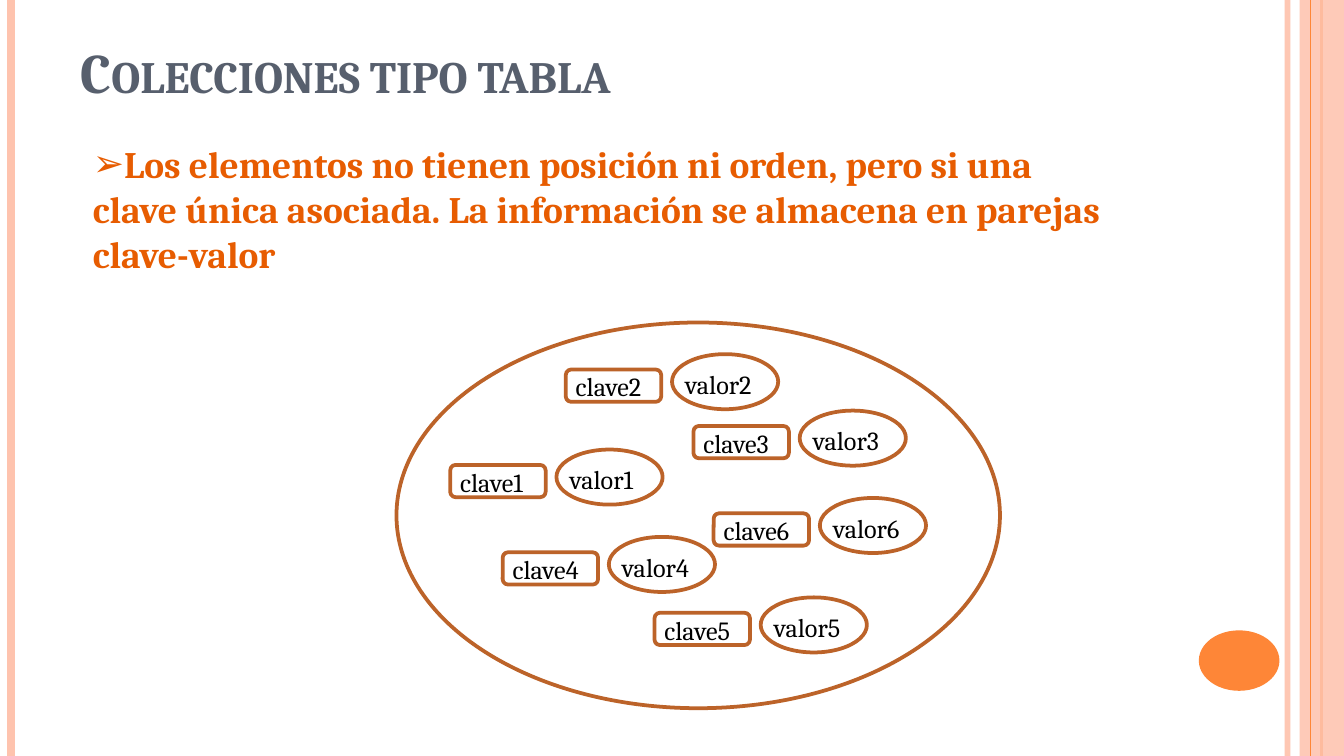
from dataclasses import dataclass

from lxml import etree
from pptx import Presentation
from pptx import util as u
from pptx.dml.color import RGBColor
from pptx.enum import shapes, text
from pptx.oxml.ns import qn

COLUMNS, ROWS = 100, 56.25
CELL = u.Inches(0.1)


@dataclass(frozen=True)
class Theme:
    """Colours, font and type sizes of the slide."""
    font: str = "Cambria"
    heading: str = "575F6D"
    body: str = "E75C01"
    label: str = "000000"
    outline: str = "BC6329"
    accent: str = "FE8637"
    pale: str = "FEC3AE"
    title_size: int = 30
    body_size: int = 20
    label_size: int = 14
    outline_width: float = 2


THEME = Theme()
PAIRS = [(2, 42.1, 27.5), (1, 33.5, 34.6), (3, 51.6, 31.7),
         (4, 37.4, 41.1), (5, 48.7, 45.6), (6, 53.1, 38.2)]


def cells(*counts):
    """Turn counts of grid cells into lengths."""
    return [u.Emu(round(count * CELL)) for count in counts]


def place(shape, *box):
    """Move and size a shape on the grid."""
    shape.left, shape.top, shape.width, shape.height = cells(*box)


def set_alpha(properties, percent):
    """Make the solid fill below an element partly transparent."""
    color = properties.find(".//" + qn("a:srgbClr"))
    etree.SubElement(color, qn("a:alpha"), val=str(percent * 1000))


def write(shape, words, *, size, color, bold=False, small_caps=False,
          bullet=None, before=0, after=0):
    """Write one formatted paragraph into a shape."""
    frame = shape.text_frame
    frame.word_wrap = True
    frame.auto_size = text.MSO_AUTO_SIZE.NONE
    frame.vertical_anchor = text.MSO_ANCHOR.TOP
    paragraph = frame.paragraphs[0]
    paragraph.alignment = text.PP_ALIGN.LEFT
    paragraph.space_before, paragraph.space_after = u.Pt(before), u.Pt(after)
    if bullet:
        properties = paragraph._p.get_or_add_pPr()
        properties.set("marL", "0")
        properties.set("indent", "0")
        etree.SubElement(properties, qn("a:buChar"), char=bullet)
    run = paragraph.add_run()
    run.text = words
    font = run.font
    font.name, font.size, font.bold = THEME.font, u.Pt(size), bold
    font.color.rgb = RGBColor.from_string(color)
    if small_caps:
        run._r.get_or_add_rPr().set("cap", "small")


def add_shape(slide, kind, *box, fill=None, line=None, alpha=None):
    """Add a preset shape with a plain fill or outline."""
    shape = slide.shapes.add_shape(kind, *cells(*box))
    shape.shadow.inherit = False
    if fill:
        shape.fill.solid()
        shape.fill.fore_color.rgb = RGBColor.from_string(fill)
    else:
        shape.fill.background()
    if alpha:
        set_alpha(shape._element.spPr, alpha)
    if line:
        shape.line.color.rgb = RGBColor.from_string(line)
        shape.line.width = u.Pt(THEME.outline_width)
    else:
        shape.line.fill.background()


def add_stripe(slide, column, color, width, alpha=None):
    """Add a vertical line over the full slide height."""
    stripe = slide.shapes.add_connector(
        shapes.MSO_CONNECTOR.STRAIGHT, *cells(column, 0, column, ROWS))
    stripe.line.color.rgb = RGBColor.from_string(color)
    stripe.line.width = u.Pt(width)
    properties = stripe._element.spPr
    if alpha:
        set_alpha(properties, alpha)
    etree.SubElement(properties, qn("a:effectLst"))


def add_label(slide, words, *box):
    """Add a small text box."""
    label = slide.shapes.add_textbox(*cells(*box))
    write(label, words, size=THEME.label_size, color=THEME.label)


def add_pair(slide, number, column, row):
    """Add a key box and the value oval beside it."""
    add_shape(slide, shapes.MSO_SHAPE.ROUNDED_RECTANGLE,
              column, row, 7.1, 2.4, line=THEME.outline)
    add_label(slide, f"clave{number}", column - 0.25, row - 0.4, 7.9, 3.4)
    oval_column, oval_row = column + 7.9, row - 1.15
    add_shape(slide, shapes.MSO_SHAPE.OVAL,
              oval_column, oval_row, 7.9, 4.1, line=THEME.outline)
    add_label(slide, f"valor{number}", oval_column, oval_row + 0.55, 9.4, 3.4)


def add_decoration(slide):
    """Add the side stripes and the round badge."""
    add_stripe(slide, 95.8, THEME.pale, 3, alpha=93)
    add_stripe(slide, 0.8, THEME.pale, 4.5)
    add_stripe(slide, 98.3, THEME.accent, 1.5)
    add_shape(slide, shapes.MSO_SHAPE.RECTANGLE,
              96.7, 0, COLUMNS - 96.7, ROWS, fill=THEME.pale, alpha=87)
    add_stripe(slide, 97.5, THEME.accent, 0.75)
    add_shape(slide, shapes.MSO_SHAPE.OVAL, 89.2, 46.9, 6, 4.5, fill=THEME.accent)


def main():
    """Build and save the slide."""
    presentation = Presentation()
    presentation.slide_width, presentation.slide_height = cells(COLUMNS, ROWS)
    slide = presentation.slides.add_slide(presentation.slide_layouts[1])
    add_decoration(slide)

    title, body = slide.placeholders
    place(title, 5, 2.3, 81.7, 9.4)
    write(title, "Colecciones tipo tabla", size=THEME.title_size,
          color=THEME.heading, bold=True, small_caps=True)
    place(body, 5.9, 10, 78.7, 14.8)
    write(body, "Los elementos no tienen posición ni orden, pero si una clave "
          "única asociada. La información se almacena en parejas clave-valor",
          size=THEME.body_size, color=THEME.body, bold=True,
          bullet="➢", before=6, after=12)

    add_shape(slide, shapes.MSO_SHAPE.OVAL, 29.5, 24, 44.9, 28.7, line=THEME.outline)
    for number, column, row in PAIRS:
        add_pair(slide, number, column, row)
    presentation.save("out.pptx")


if __name__ == "__main__":
    main()
